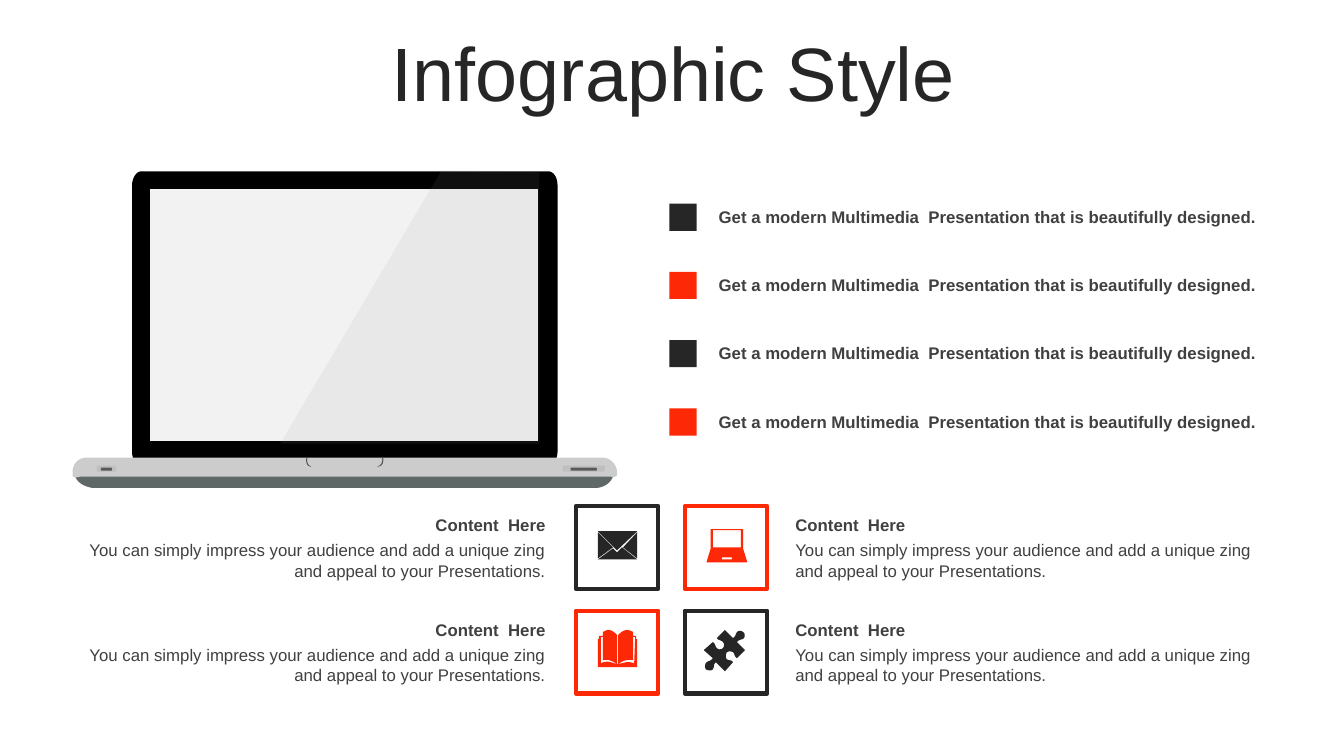
from lxml import etree
from pptx import Presentation
from pptx.dml.color import RGBColor
from pptx.enum.shapes import MSO_SHAPE
from pptx.enum.text import MSO_ANCHOR, MSO_AUTO_SIZE, PP_ALIGN
from pptx.oxml.ns import qn
from pptx.util import Inches, Pt

RECT, ROUNDED = MSO_SHAPE.RECTANGLE, MSO_SHAPE.ROUNDED_RECTANGLE
LEFT, CENTER, RIGHT = PP_ALIGN.LEFT, PP_ALIGN.CENTER, PP_ALIGN.RIGHT
TOP, MIDDLE = MSO_ANCHOR.TOP, MSO_ANCHOR.MIDDLE
DARK, RED, GREY, WHITE = "262626", "FD2906", "404040", "FFFFFF"
ACCENTS = [DARK, RED]
CURVE_STEPS = 8

prs = Presentation()
prs.slide_width, prs.slide_height = Inches(13.33), Inches(7.5)
slide = prs.slides.add_slide(prs.slide_layouts[5])
shapes = slide.shapes


def paint(shape, fill, line=None):
    shape.shadow.inherit = False
    shape.fill.solid()
    shape.fill.fore_color.rgb = RGBColor.from_string(fill)
    if line:
        shape.line.color.rgb = RGBColor.from_string(line)
        shape.line.width = Pt(3)
    else:
        shape.line.fill.background()
    return shape


def outline(contours, fill):
    """Draw closed contours in inches: pairs are corners, sextets Bézier curves."""
    builder = None
    for contour in contours:
        points = [contour[0]]
        for step in contour[1:]:
            if len(step) == 2:
                points.append(step)
                continue
            start, controls = points[-1], (step[:2], step[2:4], step[4:])
            for i in range(1, CURVE_STEPS + 1):
                t = i / CURVE_STEPS
                weights = (1 - t) ** 3, 3 * t * (1 - t) ** 2, 3 * t * t * (1 - t), t ** 3
                points.append(tuple(
                    sum(w * p[axis] for w, p in zip(weights, (start, *controls)))
                    for axis in (0, 1)))
        corners = [(Inches(x), Inches(y)) for x, y in points]
        if builder is None:
            builder = shapes.build_freeform(*corners[0], scale=1.0)
        else:
            builder.move_to(*corners[0])
        builder.add_line_segments(corners[1:], close=True)
    return paint(builder.convert_to_shape(), fill)


# Laptop
outline([[(5.93, 4.84), (5.93, 4.84, 6.04, 4.83, 6.08, 4.73), (6.08, 4.7, 6.06, 4.68, 6.03, 4.68),
          (0.8, 4.7), (0.78, 4.7, 0.75, 4.72, 0.75, 4.74), (0.79, 4.81, 0.86, 4.83, 0.91, 4.84)]],
        "5F6767")
outline([[(5.53, 4.48), (5.53, 4.55, 5.49, 4.62, 5.44, 4.62), (1.4, 4.62),
          (1.35, 4.62, 1.31, 4.56, 1.31, 4.48), (1.31, 1.84), (1.31, 1.77, 1.35, 1.7, 1.4, 1.7),
          (5.44, 1.7), (5.49, 1.7, 5.53, 1.76, 5.53, 1.84)]], "000000")
outline([[(1.49, 1.88), (5.34, 1.88), (5.34, 4.37), (1.49, 4.37)]], "F2F2F2")
outline([[(0.86, 4.54), (5.98, 4.54), (6.05, 4.54, 6.12, 4.61, 6.12, 4.68), (6.12, 4.71),
          (6.12, 4.71, 6.12, 4.74, 6.06, 4.73), (0.79, 4.73), (0.75, 4.74, 0.72, 4.74, 0.72, 4.71),
          (0.72, 4.68), (0.72, 4.6, 0.78, 4.54, 0.86, 4.54)]], "CCCCCC")
outline([[(3.04, 4.54), (3.05, 4.54), (3.05, 4.54, 3.03, 4.61, 3.09, 4.63),
          (3.02, 4.63, 3.04, 4.54, 3.04, 4.54)],
         [(3.8, 4.54), (3.79, 4.54), (3.79, 4.54, 3.81, 4.61, 3.74, 4.63),
          (3.82, 4.63, 3.8, 4.54, 3.8, 4.54)]], "4D4D4D")
for left, top, width, height, color in [
        (0.96, 4.62, 0.19, 0.06, "BFBFBF"), (1, 4.64, 0.11, 0.03, "595959"),
        (5.58, 4.62, 0.42, 0.06, "BFBFBF"), (5.66, 4.64, 0.26, 0.03, "595959")]:
    port = shapes.add_shape(ROUNDED, Inches(left), Inches(top), Inches(width), Inches(height))
    port.adjustments[0] = 0.28
    paint(port, color)
glare = outline([[(4.38, 1.69), (5.35, 1.7), (5.35, 4.4), (2.78, 4.4)]], "999999")
glare_color = glare.fill._xPr.find(".//" + qn("a:srgbClr"))
etree.SubElement(glare_color, qn("a:alpha")).set("val", "10000")

# Title
title = shapes.title
title.left, title.top, title.width, title.height = map(Inches, (0.35, 0.37, 12.66, 0.79))
title.text_frame.text = "Infographic Style"
title.text_frame.auto_size = MSO_AUTO_SIZE.NONE
title.text_frame.vertical_anchor = MIDDLE
heading = title.text_frame.paragraphs[0]
heading.alignment, heading.line_spacing = CENTER, 0.9
heading.font.name, heading.font.size = "Arial", Pt(54)
heading.font.color.rgb = RGBColor.from_string(DARK)

# Bullet list and icon tiles; their texts are gathered here and set below
captions = []
for row in range(4):
    top = 2.02 + row * 0.677
    marker = shapes.add_shape(RECT, Inches(6.64), Inches(top), Inches(0.27), Inches(0.27))
    paint(marker, ACCENTS[row % 2])
    captions.append((7.03, top - 0.02, 5.64, 0.3, LEFT, TOP, True,
                     "Get a modern Multimedia  Presentation that is beautifully designed."))

for row in range(2):
    for col, (text_left, text_width, align) in enumerate([(0.67, 4.84, RIGHT), (7.79, 4.87, LEFT)]):
        top = 5.02 + row * 1.04
        tile = shapes.add_shape(RECT, Inches(5.71 + col * 1.08), Inches(top),
                                Inches(0.82), Inches(0.82))
        paint(tile, WHITE, ACCENTS[(row + col) % 2])
        captions += [
            (text_left, top + 0.04, text_width, 0.3, align, MIDDLE, True, "Content  Here"),
            (text_left, top + 0.29, text_width, 0.5, align, TOP, False,
             "You can simply impress your audience and add a unique zing "
             "and appeal to your Presentations.")]

for left, top, width, height, align, anchor, bold, wording in captions:
    caption = shapes.add_textbox(Inches(left), Inches(top), Inches(width), Inches(height))
    frame = caption.text_frame
    frame.word_wrap, frame.vertical_anchor = True, anchor
    frame.auto_size = MSO_AUTO_SIZE.SHAPE_TO_FIT_TEXT
    frame.text = wording
    frame.paragraphs[0].alignment = align
    font = frame.paragraphs[0].runs[0].font
    font.name, font.size, font.bold = "Arial", Pt(12), bold
    font.color.rgb = RGBColor.from_string(GREY)

# Icons
envelope = [[(6.17, 5.43), (6.32, 5.55), (5.93, 5.55), (6.08, 5.44), (6.12, 5.48)],
            [(6.32, 5.28), (6.32, 5.54), (6.18, 5.43)],
            [(5.93, 5.28), (6.08, 5.43), (5.93, 5.54)],
            [(5.93, 5.27), (6.32, 5.27), (6.12, 5.46)]]
notebook = [[(7.16, 5.53), (7.16, 5.55), (7.26, 5.55), (7.26, 5.53)],
            [(7.07, 5.26), (7.07, 5.43), (7.35, 5.43), (7.35, 5.26)],
            [(7.05, 5.25), (7.37, 5.25), (7.37, 5.44), (7.41, 5.57), (7.41, 5.58),
             (7.01, 5.58), (7.01, 5.57), (7.05, 5.44)]]
puzzle = [[(7.37, 6.27), (7.39, 6.28, 7.39, 6.31, 7.38, 6.33), (7.36, 6.35, 7.33, 6.34, 7.31, 6.37),
           (7.39, 6.45), (7.31, 6.53), (7.28, 6.51, 7.29, 6.49, 7.27, 6.47),
           (7.25, 6.46, 7.23, 6.46, 7.21, 6.47), (7.2, 6.49, 7.19, 6.52, 7.21, 6.54),
           (7.24, 6.56, 7.25, 6.54, 7.27, 6.57), (7.19, 6.66), (7.1, 6.57),
           (7.07, 6.6, 7.09, 6.61, 7.07, 6.64), (7.05, 6.66, 7.02, 6.65, 7, 6.64),
           (6.99, 6.62, 6.99, 6.6, 7, 6.58), (7.02, 6.55, 7.04, 6.57, 7.07, 6.53),
           (6.98, 6.45), (7.07, 6.37), (7.1, 6.39, 7.09, 6.41, 7.11, 6.43),
           (7.13, 6.45, 7.16, 6.44, 7.17, 6.43), (7.18, 6.42, 7.19, 6.39, 7.17, 6.37),
           (7.14, 6.34, 7.13, 6.36, 7.11, 6.33), (7.19, 6.25), (7.27, 6.33),
           (7.3, 6.31, 7.29, 6.3, 7.31, 6.27), (7.33, 6.25, 7.36, 6.26, 7.37, 6.27)]]
book = [[(6.12, 6.59), (6.13, 6.59), (6.2, 6.57, 6.23, 6.56, 6.29, 6.58), (6.3, 6.32), (6.28, 6.32),
         (6.28, 6.55), (6.23, 6.54, 6.18, 6.55, 6.13, 6.59), (6.13, 6.3),
         (6.16, 6.27, 6.19, 6.25, 6.22, 6.25), (6.24, 6.25, 6.26, 6.26, 6.28, 6.27), (6.28, 6.31),
         (6.31, 6.31), (6.31, 6.34), (6.32, 6.34), (6.32, 6.62), (5.93, 6.62), (5.93, 6.34),
         (5.94, 6.34), (5.94, 6.31), (5.98, 6.31), (5.98, 6.27),
         (6, 6.26, 6.02, 6.25, 6.03, 6.25), (6.07, 6.25, 6.09, 6.27, 6.12, 6.3), (6.12, 6.59),
         (6.07, 6.55, 6.02, 6.54, 5.98, 6.55), (5.98, 6.32), (5.96, 6.32), (5.96, 6.58),
         (6.02, 6.55, 6.06, 6.57, 6.12, 6.59)]]
for icon, color in [(envelope, DARK), (notebook, RED), (puzzle, DARK), (book, RED)]:
    outline(icon, color)

prs.save("out.pptx")
